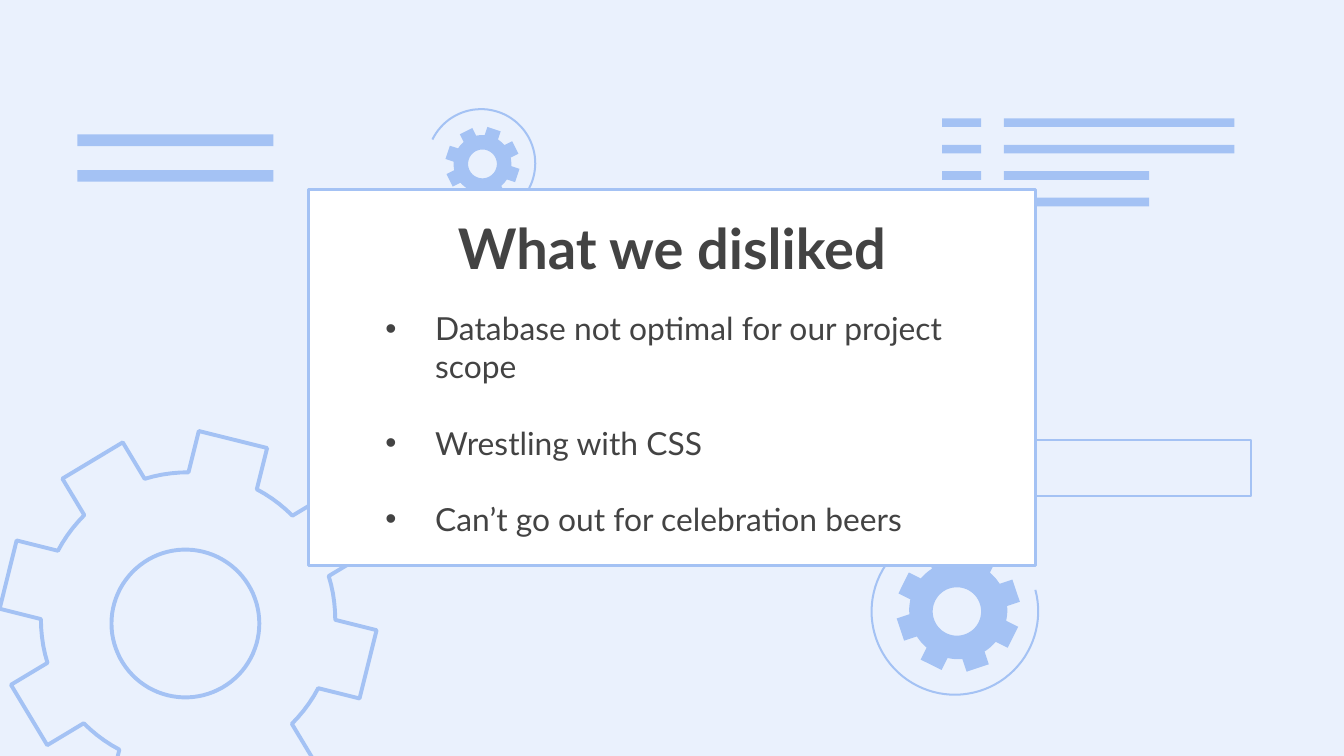
"""Build the "What we disliked" slide: a card over gears, arcs and text bars."""
import math
import pptx
import pptx.dml.color
import pptx.enum.shapes
import pptx.enum.text
import pptx.util
from lxml import etree

PALE = pptx.dml.color.RGBColor(0xEA, 0xF1, 0xFD)
BLUE = pptx.dml.color.RGBColor(0xA4, 0xC2, 0xF4)
WHITE = pptx.dml.color.RGBColor(0xFF, 0xFF, 0xFF)
GREY = pptx.dml.color.RGBColor(0x43, 0x43, 0x43)
FONT = "Lato"

presentation = pptx.Presentation()
presentation.slide_width = pptx.util.Inches(10)
presentation.slide_height = presentation.slide_width * 9 // 16
CELL = presentation.slide_width // 100
slide = presentation.slides.add_slide(presentation.slide_layouts[6])
slide.background.fill.solid()
slide.background.fill.fore_color.rgb = PALE


def paint(shape, fill, line_width):
    shape.shadow.inherit = False
    if fill is None:
        shape.fill.background()
    else:
        shape.fill.solid()
        shape.fill.fore_color.rgb = fill
    if line_width is None:
        shape.line.fill.background()
    else:
        shape.line.color.rgb = BLUE
        shape.line.width = pptx.util.Pt(line_width)


def arc_points(column, row, radius, start, end):
    steps = max(2, math.ceil(abs(end - start) / 4))
    angles = [math.radians(start + (end - start) * step / steps) for step in range(steps + 1)]
    return [
        (round((column + radius * math.cos(angle)) * CELL), round((row + radius * math.sin(angle)) * CELL))
        for angle in angles
    ]


rectangles = [(5.75, row, 14.6, 0.87, BLUE, None) for row in (10, 12.65)]
for index, length in enumerate((17.15, 17.15, 10.8, 10.8)):
    row = 8.8 + 1.97 * index
    rectangles.append((74.7, row, length, 0.65, BLUE, None))
    if index < 3:
        rectangles.append((70.1, row, 2.9, 0.65, BLUE, None))
rectangles.append((72, 32.75, 21.1, 4.15, None, 1.09))

arcs = [
    (71.05, 45.5, 6.2, -15, 233),
    (35.8, 12.15, 4.03, 206, 455),
]
for arc in arcs:
    points = arc_points(*arc)
    builder = slide.shapes.build_freeform(*points[0], scale=1.0)
    builder.add_line_segments(points[1:], close=False)
    paint(builder.convert_to_shape(), None, 1.09)

gears = [
    (14, 46.1, 13.8, 10.95, 2.62, 14, (13.8, 46.4, 5.5), None, 2.1),
    (71.3, 45.4, 4.54, 3.65, 0.87, 26.4, (71.2, 45.5, 1.8), BLUE, None),
    (35.9, 12.2, 2.73, 2.15, 0.52, 18.4, (35.9, 12.2, 1.07), BLUE, None),
]
for column, row, tip, root, half_tooth, turn, hole, fill, line_width in gears:
    tip_radius = math.hypot(tip, half_tooth)
    tip_angle = math.degrees(math.atan2(half_tooth, tip))
    root_angle = math.degrees(math.asin(half_tooth / root))
    outline = []
    for tooth in range(8):
        middle = turn + 45 * tooth
        for side in (-1, 1):
            angle = middle + side * tip_angle
            outline.append(arc_points(column, row, tip_radius, angle, angle)[0])
        outline += arc_points(column, row, root, middle + root_angle, middle + 45 - root_angle)
    ring = arc_points(*hole, 360, 0)
    builder = slide.shapes.build_freeform(*outline[0], scale=1.0)
    builder.add_line_segments(outline[1:], close=True)
    builder.move_to(*ring[0])
    builder.add_line_segments(ring[1:-1], close=True)
    paint(builder.convert_to_shape(), fill, line_width)

rectangles.append((22.93, 14.1, 54.15, 28, WHITE, 1.5))
for column, row, columns, rows, fill, line_width in rectangles:
    rectangle = slide.shapes.add_shape(
        pptx.enum.shapes.MSO_SHAPE.RECTANGLE,
        *(round(length * CELL) for length in (column, row, columns, rows)),
    )
    paint(rectangle, fill, line_width)

points_of_dislike = [
    "Database not optimal for our project scope",
    "Wrestling with CSS",
    "Can’t go out for celebration beers",
]
text_blocks = [
    ((26.4, 22, 45.6, 18.8), points_of_dislike, 17, False),
    ((26.4, 14.9, 47.2, 6), ["What we disliked"], 30, True),
]
for box, lines, size, is_title in text_blocks:
    text_box = slide.shapes.add_textbox(*(round(length * CELL) for length in box))
    frame = text_box.text_frame
    frame.word_wrap = True
    frame.margin_left = frame.margin_right = frame.margin_top = frame.margin_bottom = CELL
    for index, line in enumerate(lines):
        paragraph = frame.add_paragraph() if index else frame.paragraphs[0]
        run = paragraph.add_run()
        run.text = line
        run.font.name = FONT
        run.font.size = pptx.util.Pt(size)
        run.font.bold = is_title
        run.font.color.rgb = GREY
        if is_title:
            paragraph.alignment = pptx.enum.text.PP_ALIGN.CENTER
            continue
        if index:
            paragraph.space_before = pptx.util.Pt(20.4)
        properties = paragraph._p.get_or_add_pPr()
        properties.set("marL", str(5 * CELL))
        properties.set("indent", str(round(-3.7 * CELL)))
        namespace = "{" + properties.nsmap["a"] + "}"
        bullet_color = etree.SubElement(properties, namespace + "buClr")
        etree.SubElement(bullet_color, namespace + "srgbClr", val=str(GREY))
        etree.SubElement(properties, namespace + "buFont", typeface="Arial")
        etree.SubElement(properties, namespace + "buChar", char="•")

presentation.save("out.pptx")
